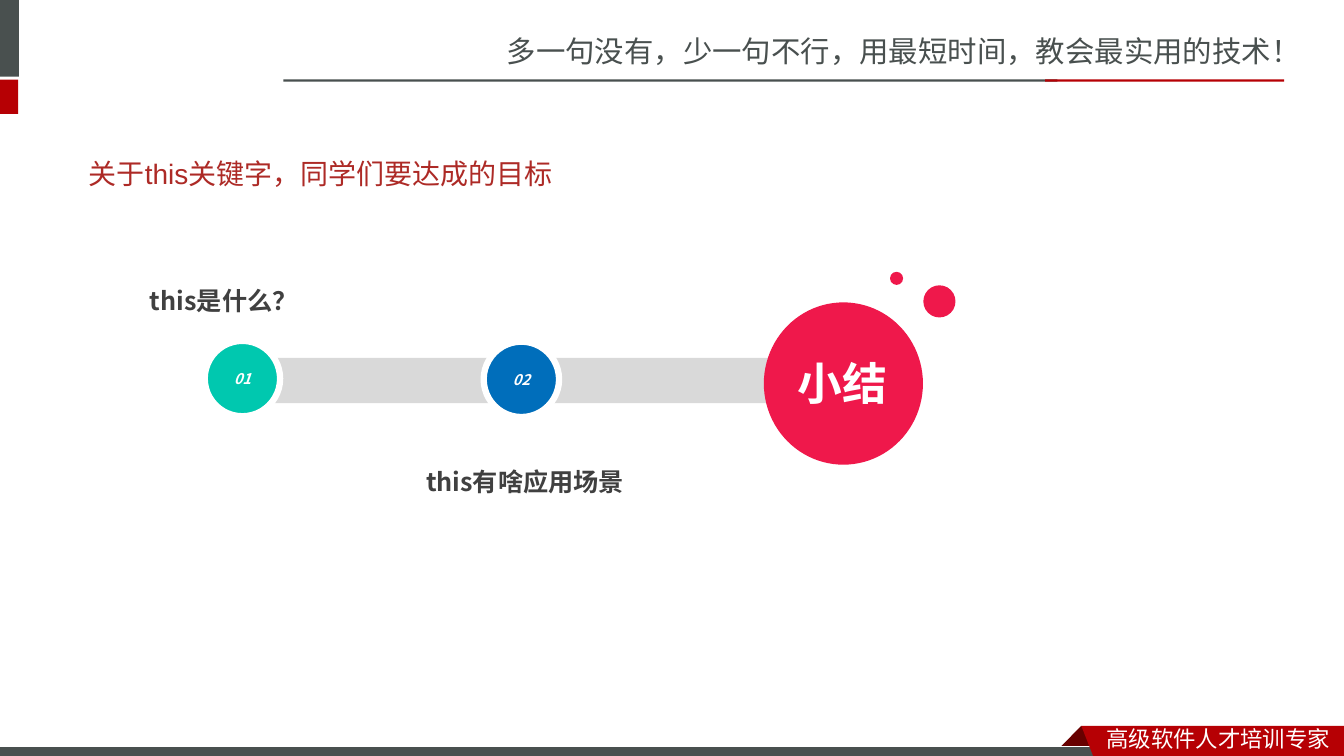
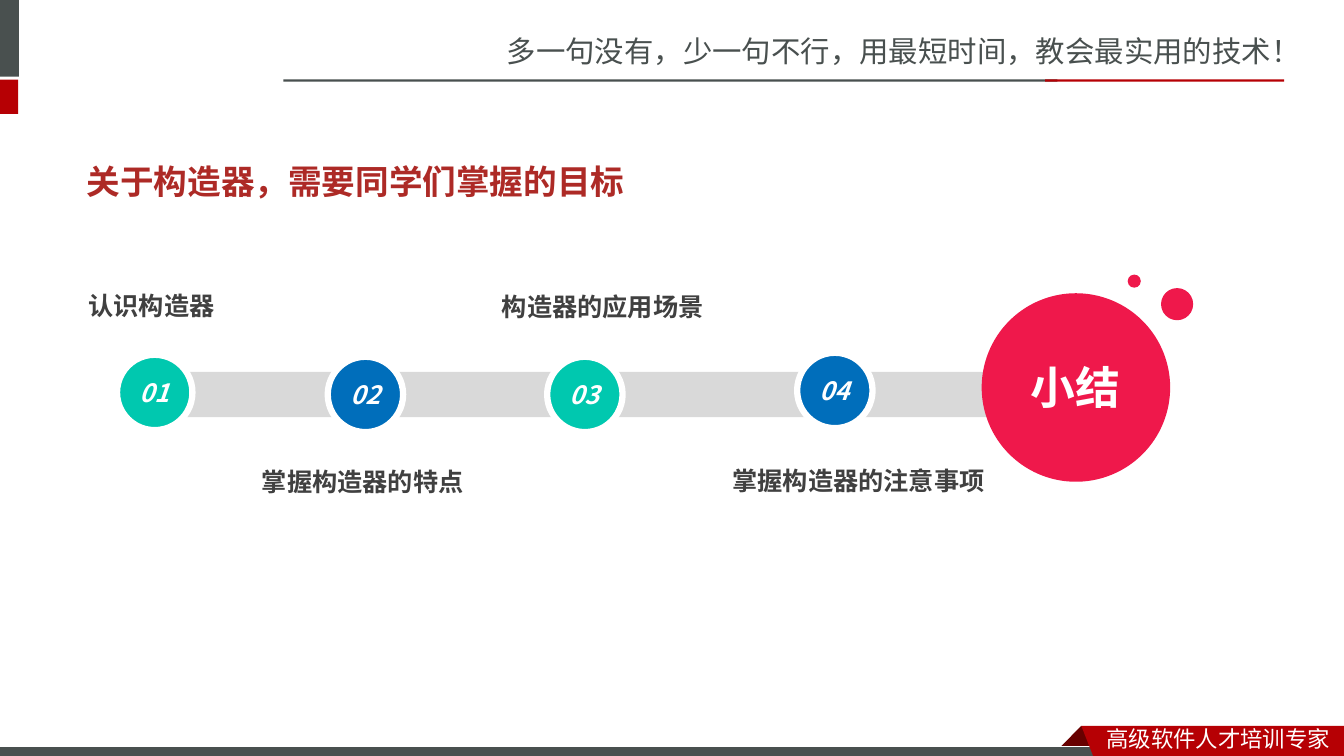
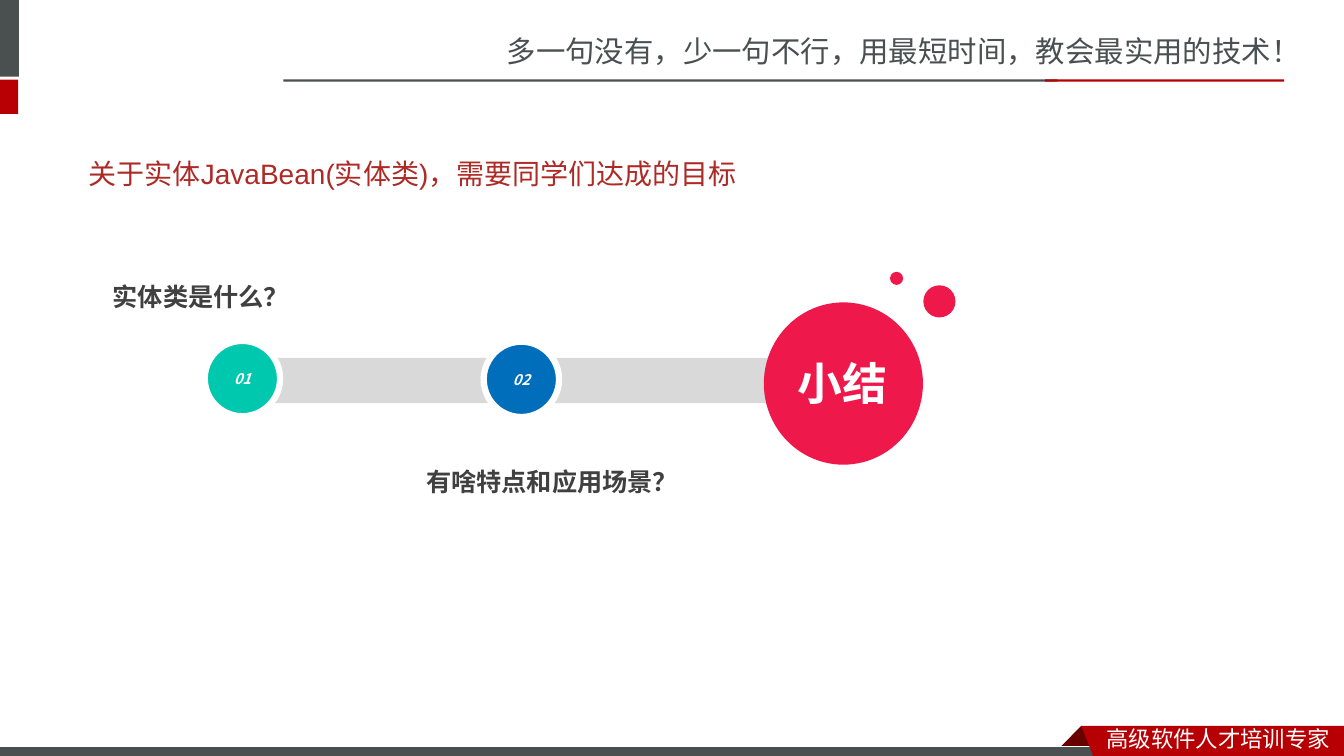
from dataclasses import dataclass
from itertools import cycle

from lxml.etree import SubElement
from pptx import Presentation
from pptx.dml.color import RGBColor
from pptx.enum.lang import MSO_LANGUAGE_ID
from pptx.enum.shapes import MSO_SHAPE
from pptx.enum.text import MSO_ANCHOR, MSO_AUTO_SIZE, PP_ALIGN
from pptx.oxml.ns import qn
from pptx.shapes.autoshape import Shape
from pptx.slide import Slide, SlideLayout
from pptx.text.text import TextFrame
from pptx.util import Cm, Pt


@dataclass(frozen=True)
class Theme:
    white: str = "FFFFFF"
    slate: str = "49504F"
    red: str = "B60004"
    dark_red: str = "680000"
    title: str = "AD2A26"
    track: str = "D9D9D9"
    label: str = "404040"
    teal: str = "00C8AF"
    blue: str = "006EBB"
    pink: str = "EF184B"
    frame_font: str = "Noto Sans CJK SC"
    goal_font: str = "Noto Sans CJK JP"
    title_font: str = "Arial"
    footer_size: float = 16
    slogan_size: float = 21
    label_size: float = 18
    summary_size: float = 32


THEME = Theme()


@dataclass(frozen=True)
class Area:
    """Left, top, width and height in centimetres."""
    left: float
    top: float
    width: float
    height: float

    def lengths(self) -> tuple[Cm, Cm, Cm, Cm]:
        return Cm(self.left), Cm(self.top), Cm(self.width), Cm(self.height)


@dataclass(frozen=True)
class Milestone:
    text: str
    circle: tuple[float, float]
    label: tuple[float, float]
    label_width: float = 7.26


@dataclass(frozen=True)
class GoalPage:
    title: str
    milestones: tuple[Milestone, ...]
    title_area: Area = Area(1.98, 3.63, 29.72, 1.45)
    title_size: float = 20
    title_font: str = THEME.title_font
    title_bold: bool = False
    number_size: float = 10.5
    track: Area = Area(6.32, 9.02, 13.34, 1.14)
    summary: Area = Area(19.25, 7.62, 4.01, 4.09)
    bubble: tuple[float, float] = (23.27, 7.19)


GOAL_PAGES = (
    GoalPage("关于this关键字，同学们要达成的目标", (
        Milestone("this是什么？", (5.16, 8.59), (3.53, 7.06), 7.49),
        Milestone("this有啥应用场景", (12.19, 8.61), (10.49, 11.63)),
    )),
    GoalPage(
        "关于构造器，需要同学们掌握的目标", (
            Milestone("认识构造器", (2.95, 8.94), (1.98, 7.19), 5.66),
            Milestone("掌握构造器的特点", (8.26, 8.99), (6.35, 11.63)),
            Milestone("构造器的应用场景", (13.79, 8.99), (12.4, 7.21), 8.64),
            Milestone("掌握构造器的注意事项", (20.09, 8.89), (18.21, 11.61)),
        ),
        title_area=Area(1.93, 3.84, 14.33, 1.45),
        title_size=24,
        title_font=THEME.goal_font,
        title_bold=True,
        number_size=18,
        track=Area(3.3, 9.37, 21.84, 1.14),
        summary=Area(24.74, 7.39, 4.75, 4.75),
        bubble=(29.26, 7.26),
    ),
    GoalPage("关于实体JavaBean(实体类)，需要同学们达成的目标", (
        Milestone("实体类是什么？", (5.16, 8.59), (2.59, 6.96), 7.49),
        Milestone("有啥特点和应用场景？", (12.19, 8.61), (10.49, 11.63)),
    )),
)


def write(frame: TextFrame, text: str, *, size: float, color: str, font: str,
          bold: bool = False, italic: bool = False,
          align: PP_ALIGN = PP_ALIGN.LEFT,
          anchor: MSO_ANCHOR = MSO_ANCHOR.TOP) -> None:
    frame.auto_size = MSO_AUTO_SIZE.NONE
    frame.word_wrap = True
    frame.vertical_anchor = anchor
    para = frame.paragraphs[0]
    para.alignment = align
    span = para.add_run()
    span.text = text
    span.font.size = Pt(size)
    span.font.bold = bold
    span.font.italic = italic
    span.font.color.rgb = RGBColor.from_string(color)
    span.font.name = font
    span.font.language_id = MSO_LANGUAGE_ID.SIMPLIFIED_CHINESE
    east_asian = THEME.frame_font if font == THEME.title_font else font
    SubElement(span._r.get_or_add_rPr(), qn("a:ea"), typeface=east_asian)


def add_text(page: Slide, area: Area, text: str, **text_format) -> None:
    box = page.shapes.add_textbox(*area.lengths())
    write(box.text_frame, text, **text_format)


def paint(shape: Shape, fill: str, outline: str | None = None,
          outline_width: float = 0.75) -> Shape:
    shape.shadow.inherit = False
    shape.fill.solid()
    shape.fill.fore_color.rgb = RGBColor.from_string(fill)
    if outline:
        shape.line.color.rgb = RGBColor.from_string(outline)
        shape.line.width = Pt(outline_width)
    else:
        shape.line.fill.background()
    return shape


def add_block(page: Slide, area: Area, fill: str, **outline) -> Shape:
    return paint(page.shapes.add_shape(MSO_SHAPE.RECTANGLE, *area.lengths()),
                 fill, **outline)


def add_circle(page: Slide, area: Area, fill: str, **outline) -> Shape:
    return paint(page.shapes.add_shape(MSO_SHAPE.OVAL, *area.lengths()),
                 fill, **outline)


def add_polygon(page: Slide, points: list[tuple[float, float]], fill: str) -> None:
    corners = [(Cm(x), Cm(y)) for x, y in points]
    builder = page.shapes.build_freeform(*corners[0])
    builder.add_line_segments(corners[1:], close=True)
    paint(builder.convert_to_shape(), fill)


def draw_frame(page: Slide) -> None:
    """Draw the side tabs, the slogan with its rule and the footer ribbon."""
    add_block(page, Area(-0.15, 0, 0.63, 1.93), THEME.slate)
    add_block(page, Area(-0.15, 2.01, 0.61, 0.86), THEME.red)
    add_block(page, Area(7.14, 2, 19.51, 0.06), THEME.slate)
    add_block(page, Area(26.34, 2, 6.02, 0.06), THEME.red)
    add_polygon(page, [(27.25, 18.29), (27.81, 18.85), (27.79, 18.87),
                       (26.72, 18.87), (26.7, 18.85)], THEME.dark_red)
    add_block(page, Area(-0.03, 18.82, 27.94, 0.3), THEME.slate,
              outline=THEME.white)
    add_polygon(page, [(27.25, 18.29), (33.87, 18.29), (33.87, 19.15),
                       (27.58, 19.13)], THEME.red)
    add_text(page, Area(27.64, 18.16, 6.22, 0.94), "高级软件人才培训专家",
             size=THEME.footer_size, color=THEME.white, font=THEME.frame_font)
    add_text(page, Area(12.52, 0.71, 21.36, 1.19),
             "多一句没有，少一句不行，用最短时间，教会最实用的技术！",
             size=THEME.slogan_size, color=THEME.slate, font=THEME.frame_font)


def move_frame_to_layout(page: Slide, layout: SlideLayout) -> None:
    """Keep the layout's title and give the layout all drawn shapes of the page."""
    for holder in list(layout.placeholders):
        if holder.placeholder_format.idx:
            holder.element.getparent().remove(holder.element)
    for shape in list(page.shapes):
        if not shape.is_placeholder:
            layout.shapes.element.append(shape.element)


def draw_title(page: Slide, goal: GoalPage) -> None:
    title = page.shapes.title
    title.left, title.top, title.width, title.height = goal.title_area.lengths()
    write(title.text_frame, goal.title, size=goal.title_size, color=THEME.title,
          font=goal.title_font, bold=goal.title_bold, anchor=MSO_ANCHOR.MIDDLE)


def draw_milestone(page: Slide, milestone: Milestone, number: int, fill: str,
                   number_size: float) -> None:
    circle = add_circle(page, Area(*milestone.circle, 1.9, 1.9), fill,
                        outline=THEME.white, outline_width=4.5)
    frame = circle.text_frame
    frame.margin_left = frame.margin_right = 0
    frame.margin_top = frame.margin_bottom = 0
    write(frame, f"{number:02d}", size=number_size, color=THEME.white,
          font=THEME.goal_font, bold=True, italic=True,
          align=PP_ALIGN.CENTER, anchor=MSO_ANCHOR.MIDDLE)
    add_text(page, Area(*milestone.label, milestone.label_width, 1.02),
             milestone.text, size=THEME.label_size, color=THEME.label,
             font=THEME.goal_font, bold=True)


def draw_summary(page: Slide, goal: GoalPage) -> None:
    circle = goal.summary
    bubble_left, bubble_top = goal.bubble
    for area in (circle, Area(bubble_left, bubble_top, 0.81, 0.81),
                 Area(bubble_left - 0.84, bubble_top - 0.34, 0.33, 0.33)):
        add_circle(page, area, THEME.pink)
    width, height = 2.8, 1.63
    text_area = Area(circle.left + (circle.width - width) / 2,
                     circle.top + (circle.height - height) / 2, width, height)
    add_text(page, text_area, "小结", size=THEME.summary_size,
             color=THEME.white, font=THEME.goal_font, bold=True)


def draw_goals(page: Slide, goal: GoalPage) -> None:
    draw_title(page, goal)
    add_block(page, goal.track, THEME.track)
    fills = cycle((THEME.teal, THEME.blue))
    for number, (milestone, fill) in enumerate(zip(goal.milestones, fills), 1):
        draw_milestone(page, milestone, number, fill, goal.number_size)
    draw_summary(page, goal)


def main() -> None:
    deck = Presentation()
    deck.slide_width, deck.slide_height = Cm(33.87), Cm(19.05)
    layout = deck.slide_layouts.get_by_name("Title Only")
    pages = [deck.slides.add_slide(layout) for _ in GOAL_PAGES]
    draw_frame(pages[0])
    move_frame_to_layout(pages[0], layout)
    for page, goal in zip(pages, GOAL_PAGES):
        draw_goals(page, goal)
    deck.save("out.pptx")


if __name__ == "__main__":
    main()
